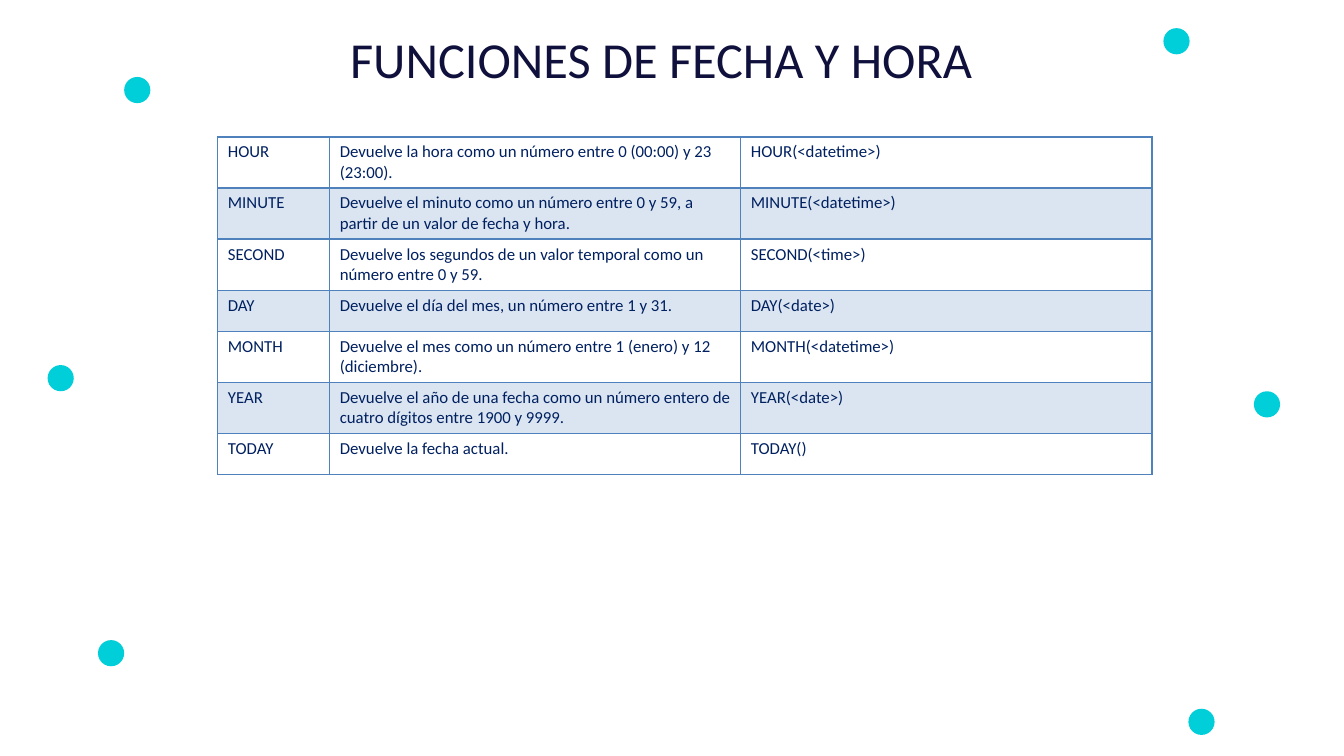
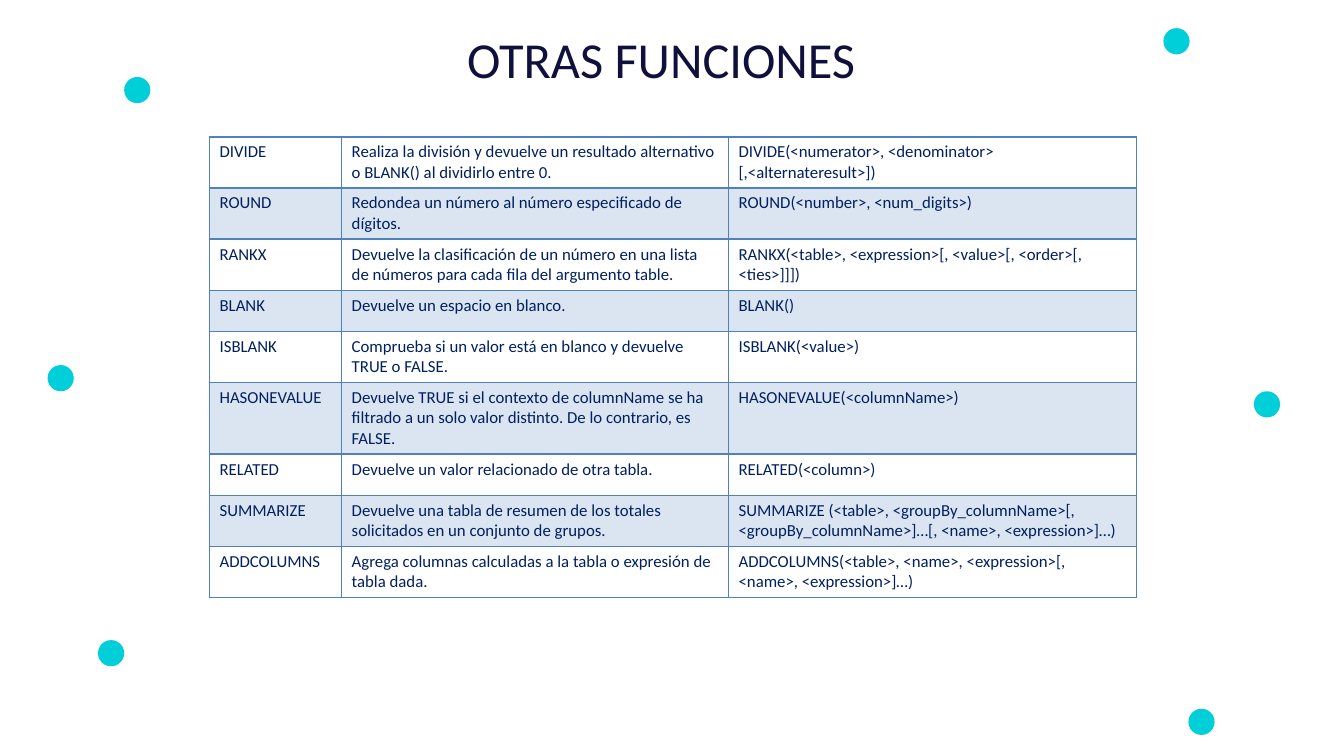
from lxml import etree
from pptx import Presentation
from pptx.dml.color import RGBColor
from pptx.enum.shapes import MSO_SHAPE
from pptx.enum.text import MSO_ANCHOR, PP_ALIGN
from pptx.oxml.ns import qn
from pptx.util import Cm, Pt

OVAL = MSO_SHAPE.OVAL
TOP = MSO_ANCHOR.TOP
CENTER = PP_ALIGN.CENTER

COLORS = {"title": "10103D", "text": "002060", "table": "4F81BD", "dot": "00CED8"}
FONT = "Calibri"
TITLE_ONLY = 5
NO_TABLE_STYLE = "{2D5ABB26-0587-4C30-8999-92F81FD0307C}"
BAND_OPACITY = 20
DOT_SIZE = 0.66
DOTS = [(3.13, 1.94), (1.2, 9.2), (2.47, 16.13), (29.32, 0.71), (31.6, 9.86), (29.95, 17.86)]
TABLE_TOP = 3.45
ROW_HEIGHT = 1.04

DATE_FUNCTIONS = [
    ("HOUR", "Devuelve la hora como un número entre 0 (00:00) y 23 (23:00).", "HOUR(<datetime>)"),
    ("MINUTE", "Devuelve el minuto como un número entre 0 y 59, a partir de un valor de fecha y hora.",
     "MINUTE(<datetime>)"),
    ("SECOND", "Devuelve los segundos de un valor temporal como un número entre 0 y 59.",
     "SECOND(<time>)"),
    ("DAY", "Devuelve el día del mes, un número entre 1 y 31.", "DAY(<date>)"),
    ("MONTH", "Devuelve el mes como un número entre 1 (enero) y 12 (diciembre).",
     "MONTH(<datetime>)"),
    ("YEAR", "Devuelve el año de una fecha como un número entero de cuatro dígitos entre 1900 y 9999.",
     "YEAR(<date>)"),
    ("TODAY", "Devuelve la fecha actual.", "TODAY()"),
]
OTHER_FUNCTIONS = [
    ("DIVIDE", "Realiza la división y devuelve un resultado alternativo o BLANK() al dividirlo entre 0.",
     "DIVIDE(<numerator>, <denominator> [,<alternateresult>])"),
    ("ROUND", "Redondea un número al número especificado de dígitos.",
     "ROUND(<number>, <num_digits>)"),
    ("RANKX", "Devuelve la clasificación de un número en una lista de números para cada fila "
     "del argumento table.", "RANKX(<table>, <expression>[, <value>[, <order>[, <ties>]]])"),
    ("BLANK", "Devuelve un espacio en blanco.", "BLANK()"),
    ("ISBLANK", "Comprueba si un valor está en blanco y devuelve TRUE o FALSE.",
     "ISBLANK(<value>)"),
    ("HASONEVALUE", "Devuelve TRUE si el contexto de columnName se ha filtrado a un solo valor "
     "distinto. De lo contrario, es FALSE.", "HASONEVALUE(<columnName>)"),
    ("RELATED", "Devuelve un valor relacionado de otra tabla.", "RELATED(<column>)"),
    ("SUMMARIZE", "Devuelve una tabla de resumen de los totales solicitados en un conjunto de grupos.",
     "SUMMARIZE (<table>, <groupBy_columnName>[, <groupBy_columnName>]…[, <name>, <expression>]…)"),
    ("ADDCOLUMNS", "Agrega columnas calculadas a la tabla o expresión de tabla dada.",
     "ADDCOLUMNS(<table>, <name>, <expression>[, <name>, <expression>]…)"),
]


class FunctionDeck:
    """Holds the deck, its style and the current slide."""

    def __init__(self):
        """Start a widescreen deck with the dots on its layout."""
        self.deck = Presentation()
        self.deck.slide_width, self.deck.slide_height = Cm(33.87), Cm(19.05)
        self.layout = self.deck.slide_layouts[TITLE_ONLY]
        self.slide = None

    def add_slide(self, title):
        """Add a slide with its title; the first one also supplies the layout dots."""
        first = self.slide is None
        self.slide = self.deck.slides.add_slide(self.layout)
        if first:
            for number, (left, top) in enumerate(DOTS, start=1):
                self.add_layout_dot(number, left, top)
        self.set_title(title)

    def add_layout_dot(self, number, left, top):
        """Draw one dot and move it to the shared layout."""
        dot = self.slide.shapes.add_shape(OVAL, Cm(left), Cm(top), Cm(DOT_SIZE), Cm(DOT_SIZE))
        dot.name = f"Dot {number}"
        dot.shadow.inherit = False
        dot.fill.solid()
        dot.fill.fore_color.rgb = RGBColor.from_string(COLORS["dot"])
        dot.line.fill.background()
        dot.element.nvSpPr.cNvPr.set("id", str(100 + number))
        self.layout.shapes.element.append(dot.element)

    def set_font(self, para, size, color):
        """Give a paragraph the deck font."""
        para.font.name = FONT
        para.font.size = Pt(size)
        para.font.color.rgb = RGBColor.from_string(COLORS[color])

    def set_title(self, text):
        """Place, fill and format the title."""
        box = self.slide.shapes.title
        box.left, box.top, box.width, box.height = Cm(5.49), Cm(0.76), Cm(22.35), Cm(2.57)
        box.text_frame.text = text
        box.text_frame.vertical_anchor = TOP
        para = box.text_frame.paragraphs[0]
        para.alignment = CENTER
        para.line_spacing = 0.9
        self.set_font(para, 36, "title")

    def add_table(self, left, widths, rows):
        """Add a bordered table with every second row tinted."""
        frame = self.slide.shapes.add_table(
            len(rows), len(widths), Cm(left), Cm(TABLE_TOP),
            Cm(sum(widths)), Cm(ROW_HEIGHT * len(rows)))
        table = frame.table
        table.first_row = table.horz_banding = False
        frame.element.find(".//" + qn("a:tableStyleId")).text = NO_TABLE_STYLE
        for column, width in zip(table.columns, widths):
            column.width = Cm(width)
        for row_number, texts in enumerate(rows):
            table.rows[row_number].height = Cm(ROW_HEIGHT)
            for column_number, text in enumerate(texts):
                cell = table.cell(row_number, column_number)
                cell.text = text
                self.set_font(cell.text_frame.paragraphs[0], 12, "text")
                self.fill_cell(cell, tinted=row_number % 2 == 1)
                self.border_cell(cell, is_first=row_number == 0, below_first=row_number == 1)

    def fill_cell(self, cell, tinted):
        """Give a cell a transparent tint or no fill."""
        if not tinted:
            cell.fill.background()
            return
        cell.fill.solid()
        cell.fill.fore_color.rgb = RGBColor.from_string(COLORS["table"])
        color = cell._tc.tcPr.find(".//" + qn("a:srgbClr"))
        etree.SubElement(color, qn("a:alpha"), val=str(BAND_OPACITY * 1000))

    def border_cell(self, cell, is_first, below_first):
        """Draw the four borders, heavier under the first row."""
        weights = {"L": 1, "R": 1, "T": 2 if below_first else 1, "B": 2 if is_first else 1}
        for position, (side, weight) in enumerate(weights.items()):
            line = etree.Element(qn(f"a:ln{side}"), w=str(Pt(weight)))
            fill = etree.SubElement(line, qn("a:solidFill"))
            etree.SubElement(fill, qn("a:srgbClr"), val=COLORS["table"])
            cell._tc.tcPr.insert(position, line)


def main():
    """Build and save both slides."""
    builder = FunctionDeck()
    builder.add_slide("FUNCIONES DE FECHA Y HORA")
    builder.add_table(5.49, [2.82, 10.36, 10.36], DATE_FUNCTIONS)
    builder.add_slide("OTRAS FUNCIONES")
    builder.add_table(5.28, [3.33, 9.75, 10.29], OTHER_FUNCTIONS)
    builder.deck.save("out.pptx")


main()
